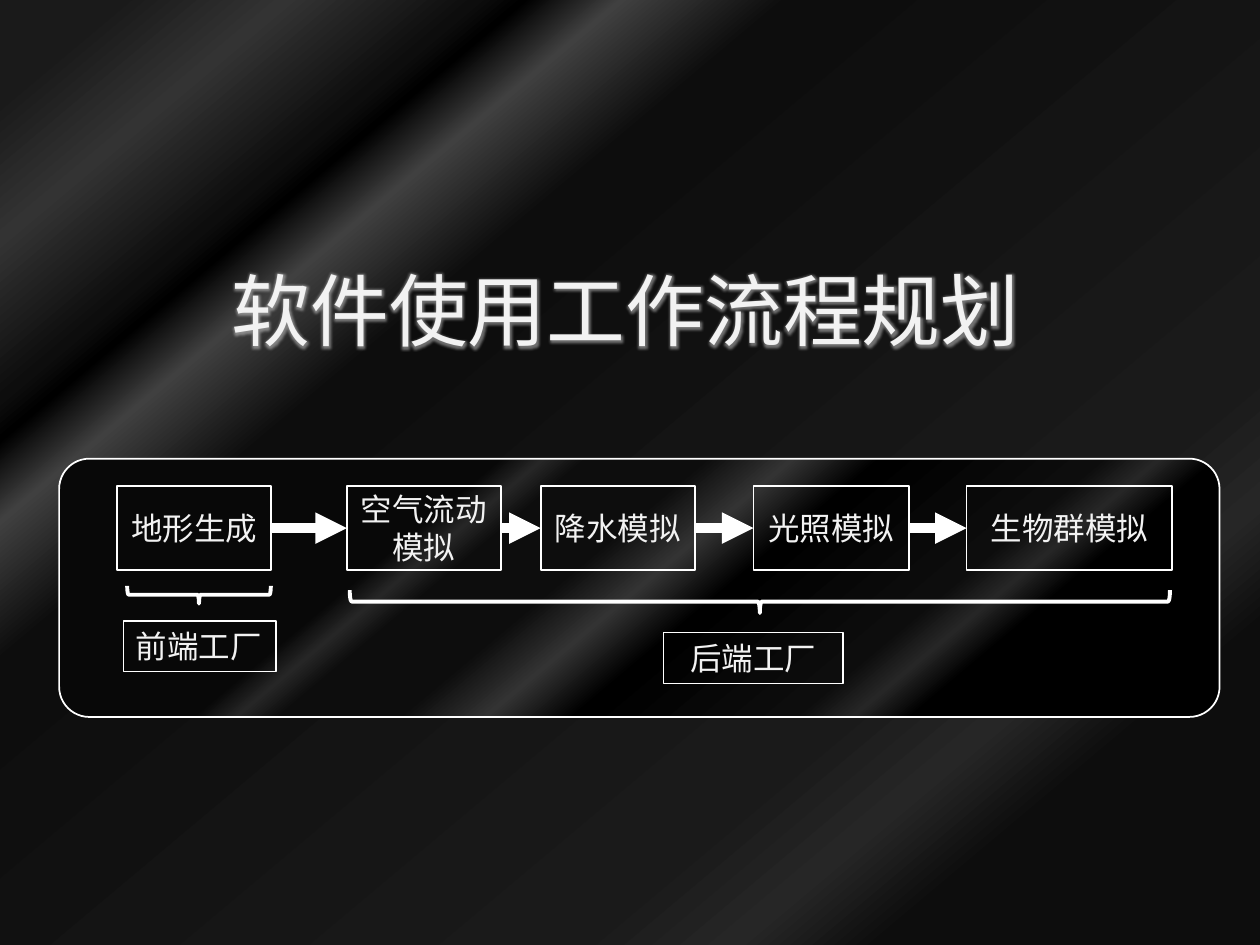
"""Build a one-slide overview of the planned software workflow."""
import pptx
import pptx.dml.color
import pptx.enum.shapes
import pptx.enum.text
import pptx.oxml
import pptx.oxml.ns
import pptx.util
from lxml import etree

Pt = pptx.util.Pt
RGBColor = pptx.dml.color.RGBColor
SHAPE = pptx.enum.shapes.MSO_SHAPE
ALIGN = pptx.enum.text.PP_ALIGN
ANCHOR = pptx.enum.text.MSO_ANCHOR
qn = pptx.oxml.ns.qn

WHITE = RGBColor(0xFF, 0xFF, 0xFF)
TEXT = RGBColor(0xF2, 0xF2, 0xF2)
FONT = "Noto Sans CJK SC"
PAGE_STOPS = [(16, "0D0D0D"), (22, "262626"), (29, "1A1A1A"), (67, "0D0D0D"), (74, "404040"),
              (78, "000000"), (80, "0D0D0D"), (88, "333333"), (95, "1A1A1A")]
PANEL_STOPS = [(0, "000000"), (21, "000000"), (25, "262626"), (29, "0D0D0D"), (44, "000000"),
               (50, "333333"), (56, "0D0D0D"), (64, "0D0D0D"), (67, "262626"), (70, "080808")]


def set_gradient(fill, owner, stops):
    fill.gradient()
    fill.gradient_angle = 130
    stop_list = owner.find(".//" + qn("a:gsLst"))
    for old_stop in list(stop_list):
        stop_list.remove(old_stop)
    for position, colour in stops:
        stop = etree.SubElement(stop_list, qn("a:gs"), pos=str(position * 1000))
        etree.SubElement(stop, qn("a:srgbClr"), val=colour)


def write_text(shape, text, size, align, wrap):
    shape.text_frame.word_wrap = wrap
    para = shape.text_frame.paragraphs[0]
    para.alignment = align
    span = para.add_run()
    span.text = text
    span.font.size = Pt(size)
    span.font.color.rgb = TEXT
    span.font.name = FONT
    latin = span.font._element.find(qn("a:latin"))
    latin.addnext(latin.makeelement(qn("a:ea"), typeface=FONT))
    return span


deck = pptx.Presentation()
deck.slide_width, deck.slide_height = Pt(720), Pt(540)
page = deck.slides.add_slide(deck.slide_layouts[6])
set_gradient(page.background.fill, page._element, PAGE_STOPS)

title = page.shapes.add_textbox(Pt(125.3), Pt(146.2), Pt(468.7), Pt(61.9))
title.text_frame.auto_size = pptx.enum.text.MSO_AUTO_SIZE.SHAPE_TO_FIT_TEXT
title_span = write_text(title, "软件使用工作流程规划", 45, ALIGN.LEFT, False)
glow = pptx.oxml.parse_xml(
    '<a:effectLst xmlns:a="http://schemas.openxmlformats.org/drawingml/2006/main">'
    '<a:glow rad="63500"><a:srgbClr val="FFFFFF"><a:alpha val="40000"/></a:srgbClr></a:glow>'
    '</a:effectLst>')
title_span.font._element.find(qn("a:solidFill")).addnext(glow)

panel = page.shapes.add_shape(SHAPE.ROUNDED_RECTANGLE, Pt(33.8), Pt(262.1), Pt(663.1), Pt(147.6))
panel.adjustments[0] = 0.117
panel.shadow.inherit = False
set_gradient(panel.fill, panel._element, PANEL_STOPS)
panel.line.color.rgb = WHITE
panel.line.width = Pt(1)

STEP_TOP, STEP_HEIGHT = 277.7, 48.2
steps = [("地形生成", 66.8, 88.2), ("空气流动模拟", 198.2, 88.2), ("降水模拟", 309, 88.2),
         ("光照模拟", 430.6, 88.8), ("生物群模拟", 552.4, 117.4)]
factories = [("前端工厂", 70.6, 354.8, 87.1, ALIGN.LEFT, False),
             ("后端工厂", 379.2, 361.4, 102.5, ALIGN.CENTER, True)]
boxes = [(text, left, STEP_TOP, width, STEP_HEIGHT, 1, ALIGN.CENTER, True, ANCHOR.MIDDLE)
         for text, left, width in steps]
boxes += [(text, left, top, width, 29.1, 0.75, align, wrap, ANCHOR.TOP)
          for text, left, top, width, align, wrap in factories]
for text, left, top, width, height, weight, align, wrap, anchor in boxes:
    box = page.shapes.add_shape(SHAPE.RECTANGLE, Pt(left), Pt(top), Pt(width), Pt(height))
    box.shadow.inherit = False
    box.fill.background()
    box.line.color.rgb = WHITE
    box.line.width = Pt(weight)
    box.text_frame.vertical_anchor = anchor
    write_text(box, text, 18, align, wrap)

arrow_y = Pt(STEP_TOP + STEP_HEIGHT / 2)
for (_, left, width), (_, next_left, _) in zip(steps, steps[1:]):
    arrow = page.shapes.add_connector(pptx.enum.shapes.MSO_CONNECTOR.STRAIGHT,
                                      Pt(left + width), arrow_y, Pt(next_left), arrow_y)
    arrow.line.color.rgb = WHITE
    arrow.line.width = Pt(6)
    etree.SubElement(arrow.line._get_or_add_ln(), qn("a:tailEnd"), type="triangle")
    etree.SubElement(arrow._element.spPr, qn("a:effectLst"))

for left, top, width, height in [(108.7, 298.8, 10.1, 82.1), (427.7, 109.4, 13, 468.7)]:
    brace = page.shapes.add_shape(SHAPE.LEFT_BRACE, Pt(left), Pt(top), Pt(width), Pt(height))
    brace.rotation = 270
    brace.shadow.inherit = False
    brace.fill.background()
    brace.line.color.rgb = WHITE
    brace.line.width = Pt(2.25)

deck.save("out.pptx")
